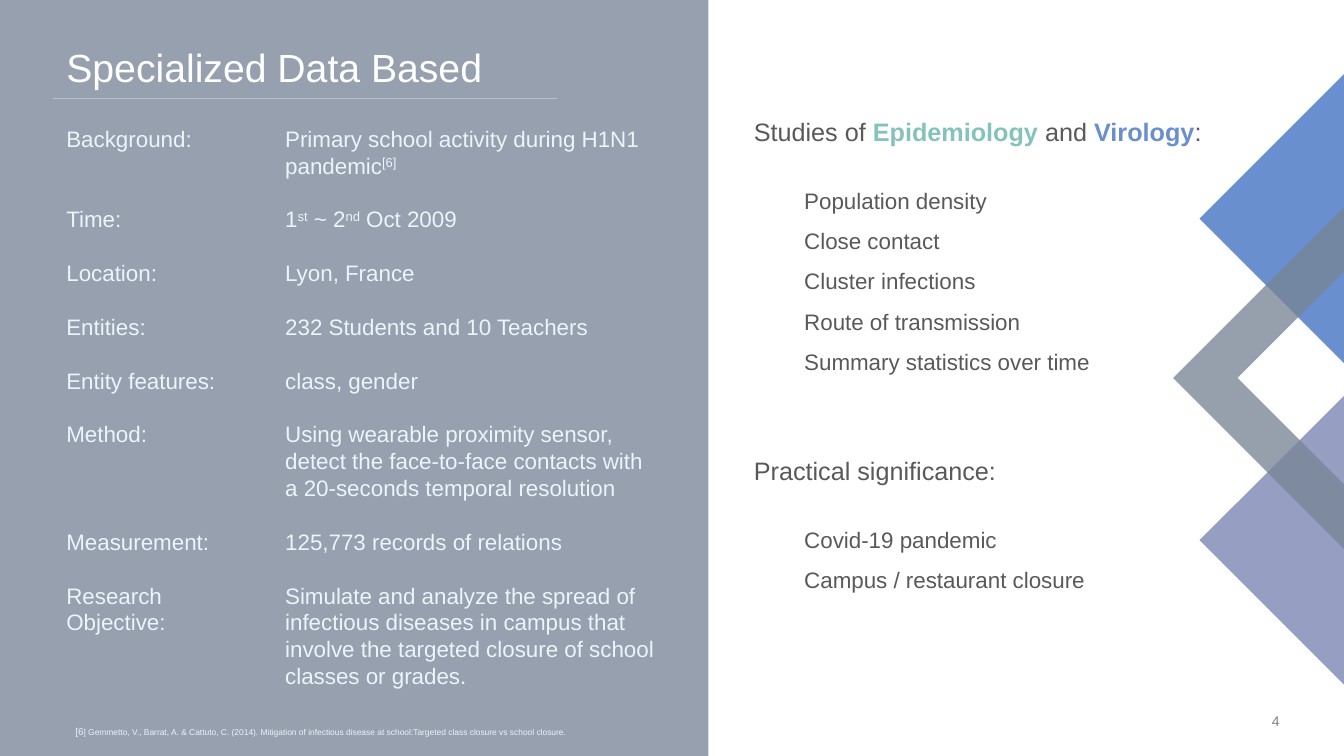
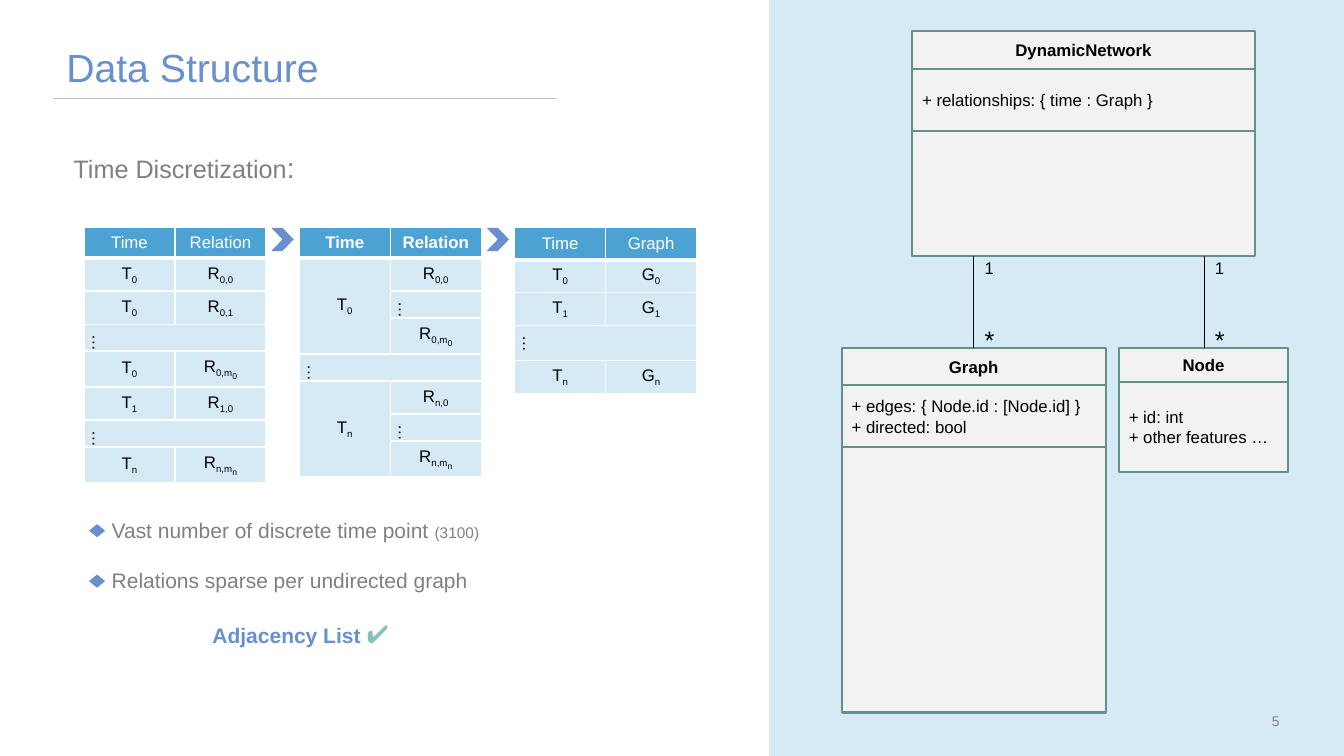
"""Build two slides on contact data: its background and its data structure."""
from dataclasses import dataclass

from lxml import etree
from pptx import Presentation
from pptx.dml.color import RGBColor
from pptx.enum.shapes import MSO_CONNECTOR, MSO_SHAPE
from pptx.enum.text import MSO_ANCHOR, PP_ALIGN
from pptx.oxml.ns import qn
from pptx.util import Pt

RECT, CHEVRON, DIAMOND = MSO_SHAPE.RECTANGLE, MSO_SHAPE.CHEVRON, MSO_SHAPE.DIAMOND
STRAIGHT = MSO_CONNECTOR.STRAIGHT
TOP, MIDDLE, BOTTOM = MSO_ANCHOR.TOP, MSO_ANCHOR.MIDDLE, MSO_ANCHOR.BOTTOM
LEFT, CENTER, RIGHT = PP_ALIGN.LEFT, PP_ALIGN.CENTER, PP_ALIGN.RIGHT


@dataclass(frozen=True)
class Theme:
    font: str = "Arial"
    white: str = "FFFFFF"
    black: str = "000000"
    slate: str = "96A0AE"
    ice: str = "EBF4FA"
    sky: str = "D6EAF5"
    header: str = "4CA2D3"
    blue: str = "698FCE"
    teal: str = "85C2BC"
    lavender: str = "969EC2"
    steel: str = "778495"
    dark: str = "595959"
    grey: str = "808080"
    rule: str = "BFBFBF"
    card: str = "F2F2F2"
    card_line: str = "62908B"
    title: float = 28
    heading: float = 18
    body: float = 16
    point: float = 15
    small: float = 12
    subscript: float = 10.5
    number: float = 10
    leading: float = 1.2


THEME = Theme()
WIDTH, HEIGHT = 960, 540


@dataclass
class Span:
    text: str
    size: float = THEME.body
    color: str = THEME.ice
    bold: bool = False
    shift: int = 0


@dataclass
class Para:
    spans: list
    align: object = LEFT
    line: object = None
    before: float = 0
    after: float = 0
    indent: float = 0


FACTS = [
    ("Background:", 2, [("Primary school activity during H1N1 pandemic", 0), ("[6]", 30)]),
    ("Time:", 1, [("1", 0), ("st", 30), (" ~ 2", 0), ("nd", 30), (" Oct 2009", 0)]),
    ("Location:", 1, [("Lyon, France", 0)]),
    ("Entities:", 1, [("232 Students and 10 Teachers", 0)]),
    ("Entity features:", 1, [("class, gender", 0)]),
    ("Method:", 3, [("Using wearable proximity sensor, detect the face-to-face contacts "
                     "with a 20-seconds temporal resolution", 0)]),
    ("Measurement:", 1, [("125,773 records of relations", 0)]),
    ("Research Objective:", 4, [("Simulate and analyze the spread of infectious diseases in campus "
                                 "that involve the targeted closure of school classes or grades.", 0)]),
]
CITATION = [
    Span("[6", 7),
    Span("] Gemmetto, V., Barrat, A. & Cattuto, C. (2014). Mitigation of infectious disease "
         "at school:Targeted class closure vs school closure.", 6),
]
TOPICS = [
    ([("Studies of ", THEME.dark, False), ("Epidemiology", THEME.teal, True),
      (" and ", THEME.dark, False), ("Virology", THEME.blue, True), (":", THEME.dark, False)],
     ["Population density", "Close contact", "Cluster infections",
      "Route of transmission", "Summary statistics over time"]),
    ([("Practical significance:", THEME.dark, False)],
     ["Covid-19 pandemic", "Campus / restaurant closure"]),
]

TABLES = [
    dict(bold=False, header=20.5, dots=19.3, rows=[
        ("Time", "Relation"), ("T_0", "R_0,0"), ("T_0", "R_0,1"), ("…", None),
        ("T_0", "R_0,m_0"), ("T_1", "R_1,0"), ("…", None), ("T_n", "R_n,m_n")]),
    dict(bold=True, header=20.5, dots=19.3, rows=[
        ("Time", "Relation"), ("T_0", "R_0,0"), (None, "…"), (None, "R_0,m_0"),
        ("…", None), ("T_n", "R_n,0"), (None, "…"), (None, "R_n,m_n")]),
    dict(bold=False, header=22.8, dots=25, rows=[
        ("Time", "Graph"), ("T_0", "G_0"), ("T_1", "G_1"), ("…", None), ("T_n", "G_n")]),
]
POINTS = [
    [Span("Vast number of discrete time point ", THEME.point, THEME.grey),
     Span("(3100)", 11, THEME.grey)],
    [Span("Relations sparse per undirected graph", THEME.point, THEME.grey)],
]
CHOICE = [Span("Adjacency List ", THEME.point, THEME.blue, True),
          Span("✔", THEME.heading, THEME.teal)]

CLASSES = [
    ("DynamicNetwork", 651.6, 22.3, 244.8, 26.9,
     [(44.6, ["+ relationships: { time : Graph }"]), (89.1, [])]),
    ("Graph", 601.2, 248.4, 188.6, 26.6,
     [(44.6, ["+ edges: { Node.id : [Node.id] }", "+ directed: bool"]), (189.4, [])]),
    ("Node", 799.2, 248.4, 121, 24.5,
     [(64.1, ["+ id: int", "+ other features …"])]),
]
RELATION_XS, RELATION_TOP, RELATION_BOTTOM = (695.5, 860), 182.9, 248.4


def rgb(color):
    return RGBColor.from_string(color)


def write(frame, paras, anchor=TOP, wrap=True):
    frame.word_wrap = wrap
    frame.vertical_anchor = anchor
    for index, item in enumerate(paras):
        para = frame.add_paragraph() if index else frame.paragraphs[0]
        para.alignment = item.align
        para.space_before, para.space_after = Pt(item.before), Pt(item.after)
        if item.line:
            para.line_spacing = item.line
        if item.indent:
            para._p.get_or_add_pPr().set("marL", str(int(Pt(item.indent))))
        for span in item.spans:
            run = para.add_run()
            run.text = span.text
            run.font.name, run.font.size, run.font.bold = THEME.font, Pt(span.size), span.bold
            run.font.color.rgb = rgb(span.color)
            if span.shift:
                run._r.get_or_add_rPr().set("baseline", str(span.shift * 1000))


def add_text(page, place, paras, anchor=TOP, wrap=True):
    box = page.shapes.add_textbox(*map(Pt, place))
    write(box.text_frame, paras, anchor, wrap)


def paint(shape, fill, line=None):
    shape.shadow.inherit = False
    shape.fill.solid()
    shape.fill.fore_color.rgb = rgb(fill)
    if line:
        shape.line.color.rgb, shape.line.width = rgb(line), Pt(1.5)
    else:
        shape.line.fill.background()
    return shape


def add_block(page, kind, place, fill, line=None):
    return paint(page.shapes.add_shape(kind, *map(Pt, place)), fill, line)


def add_line(page, ends, color, width):
    line = page.shapes.add_connector(STRAIGHT, *map(Pt, ends))
    line.line.color.rgb, line.line.width = rgb(color), Pt(width)
    etree.SubElement(line._element.spPr, qn("a:effectLst"))


def add_outline(page, points, fill):
    start, *rest = [(Pt(x), Pt(y)) for x, y in points]
    builder = page.shapes.build_freeform(*start)
    builder.add_line_segments(rest, close=True)
    return paint(builder.convert_to_shape(), fill)


def add_page(deck, title, color, number, panel):
    page = deck.slides.add_slide(deck.slide_layouts[6])
    left, width, fill = panel
    add_block(page, RECT, (left, 0, width, HEIGHT), fill)
    add_text(page, (40.3, 44.6, 312, 23.8), [Para([Span(title, THEME.title, color)])], BOTTOM, False)
    add_line(page, (398, 70, 38, 70), THEME.rule, 0.25)
    add_text(page, (692, 507, 229, 16.6),
             [Para([Span(str(number), THEME.number, THEME.grey)], RIGHT)], MIDDLE)
    return page


def corner(tip, middle):
    reach = WIDTH - tip
    return [(WIDTH, middle - reach), (tip, middle), (WIDTH, middle + reach)]


def add_decoration(page):
    add_outline(page, corner(856.8, 385.9), THEME.lavender)
    add_outline(page, corner(856.8, 156.2), THEME.blue)
    band = add_outline(page, corner(838, 270) + corner(884, 270)[::-1], THEME.steel)
    tint = band._element.spPr.find(qn("a:solidFill"))[0]
    etree.SubElement(tint, qn("a:alpha"), val="77000")


def build_background(deck):
    page = add_page(deck, "Specialized Data Based", THEME.white, 4, (0, 506, THEME.slate))
    pitch = THEME.body * THEME.leading
    labels = [Para([Span(label)], line=Pt(pitch), after=lines * pitch) for label, lines, _ in FACTS]
    values = [Para([Span(text, shift=shift) for text, shift in parts], line=Pt(pitch), after=pitch)
              for _, _, parts in FACTS]
    add_text(page, (40.3, 85.7, 156, 411), labels)
    add_text(page, (196.6, 85.7, 278, 411), values)
    add_text(page, (46.8, 504.7, 758, 33.8), [Para(CITATION, line=1.2)], MIDDLE)

    topics = []
    for index, (heading, items) in enumerate(TOPICS):
        spans = [Span(text, THEME.heading, color, bold) for text, color, bold in heading]
        topics.append(Para(spans, line=Pt(THEME.heading * THEME.leading),
                           before=3 * pitch * index, after=pitch))
        topics += [Para([Span(item, color=THEME.dark)], line=Pt(1.5 * pitch), indent=36)
                   for item in items]
    add_text(page, (531.4, 79.5, 368, 350), topics)
    add_decoration(page)


def set_borders(cell, bottom):
    properties = cell._tc.get_or_add_tcPr()
    for side, width in (("L", 1), ("R", 1), ("T", 1), ("B", bottom)):
        line = etree.SubElement(properties, qn(f"a:ln{side}"), w=str(int(Pt(width))))
        fill = etree.SubElement(line, qn("a:solidFill"))
        etree.SubElement(fill, qn("a:srgbClr"), val=THEME.white)


def cell_spans(text, color, bold):
    sizes = (THEME.small, THEME.small, THEME.subscript)
    return [Span(part, sizes[depth], color, bold, -25 * depth)
            for depth, part in enumerate(text.split("_"))]


def row_height(row, spec):
    if "…" in row:
        return spec["dots"]
    depth = max(text.count("_") for text in row if text)
    return (spec["header"], 22.8, 24.2)[depth]


def add_data_table(page, left, top, width, spec):
    rows = spec["rows"]
    heights = [row_height(row, spec) for row in rows]
    table = page.shapes.add_table(len(rows), 2, *map(Pt, (left, top, width, sum(heights)))).table
    for column in table.columns:
        column.width = Pt(width / 2)
    for r, row in enumerate(rows):
        table.rows[r].height = Pt(heights[r])
        head = r == 0
        for c, text in enumerate(row):
            cell = table.cell(r, c)
            set_borders(cell, 3 if head else 1)
            cell.fill.solid()
            cell.fill.fore_color.rgb = rgb(THEME.header if head else THEME.sky)
            if text is None:
                continue
            color = THEME.white if head else THEME.black
            write(cell.text_frame, [Para(cell_spans(text, color, head and spec["bold"]), CENTER)])
            cell.vertical_anchor = MIDDLE
            if text == "…":
                cell._tc.get_or_add_tcPr().set("vert", "eaVert")
    for r, row in enumerate(rows):
        if row[1] is None:
            table.cell(r, 0).merge(table.cell(r, 1))
        elif row[0] and r + 1 < len(rows) and rows[r + 1][0] is None:
            last = r + 1
            while last + 1 < len(rows) and rows[last + 1][0] is None:
                last += 1
            table.cell(r, 0).merge(table.cell(last, 0))


def add_class(page, name, left, top, width, name_height, sections):
    parts = [(name_height, [name], True)] + [(height, lines, False) for height, lines in sections]
    for height, lines, bold in parts:
        card = add_block(page, RECT, (left, top, width, height), THEME.card, THEME.card_line)
        if lines:
            write(card.text_frame,
                  [Para([Span(text, THEME.small, THEME.black, bold)], CENTER if bold else LEFT)
                   for text in lines], MIDDLE)
        top += height


def build_structure(deck):
    page = add_page(deck, "Data Structure", THEME.blue, 5, (549.3, 410.7, THEME.sky))
    add_text(page, (45.4, 103.7, 325, 40),
             [Para([Span("Time Discretization", THEME.heading, THEME.grey), Span(":", 20, THEME.grey)])])

    first, top, width, pitch = 60, 162.7, 130, 153.8
    for index, spec in enumerate(TABLES):
        left = first + index * pitch
        add_data_table(page, left, top, width, spec)
        if index:
            add_block(page, CHEVRON, (left - 20, top, 16, 16.6), THEME.blue)

    line = THEME.point * THEME.leading
    points = [Para(spans, line=Pt(line), after=line) for spans in POINTS]
    choice = Para(CHOICE, line=Pt(THEME.heading * THEME.leading), indent=72)
    add_text(page, (72.7, 366, 410, 110), points + [choice])
    for index in range(len(POINTS)):
        add_block(page, DIAMOND, (63.6, 374.4 + 2 * line * index, 11.5, 9.4), THEME.blue)

    for entry in CLASSES:
        add_class(page, *entry)
    for x in RELATION_XS:
        add_line(page, (x, RELATION_BOTTOM, x, RELATION_TOP), THEME.black, 0.5)
        for text, size, y in (("1", THEME.small, 180.7), ("*", THEME.heading, 228.4)):
            add_text(page, (x + 0.8, y, 30, 22), [Para([Span(text, size, THEME.black)])], wrap=False)


def main():
    deck = Presentation()
    deck.slide_width, deck.slide_height = Pt(WIDTH), Pt(HEIGHT)
    build_background(deck)
    build_structure(deck)
    deck.save("out.pptx")


if __name__ == "__main__":
    main()
